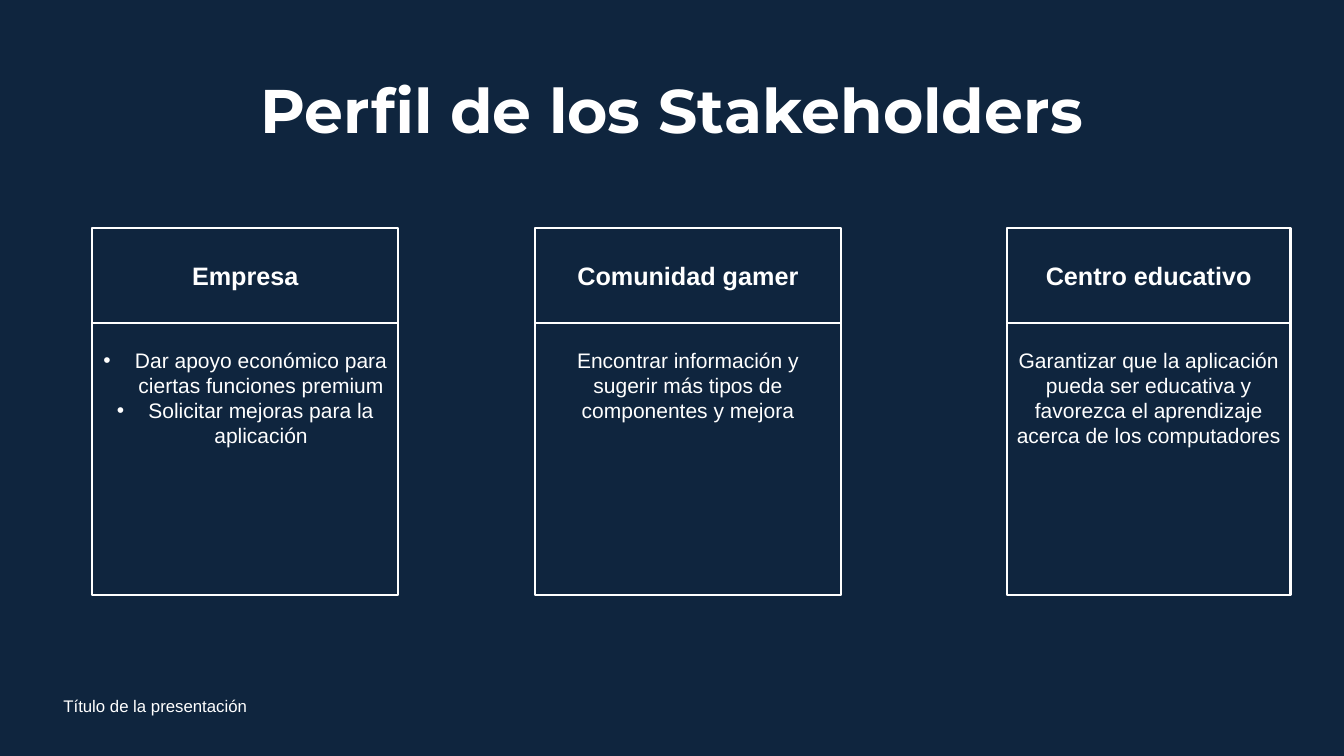
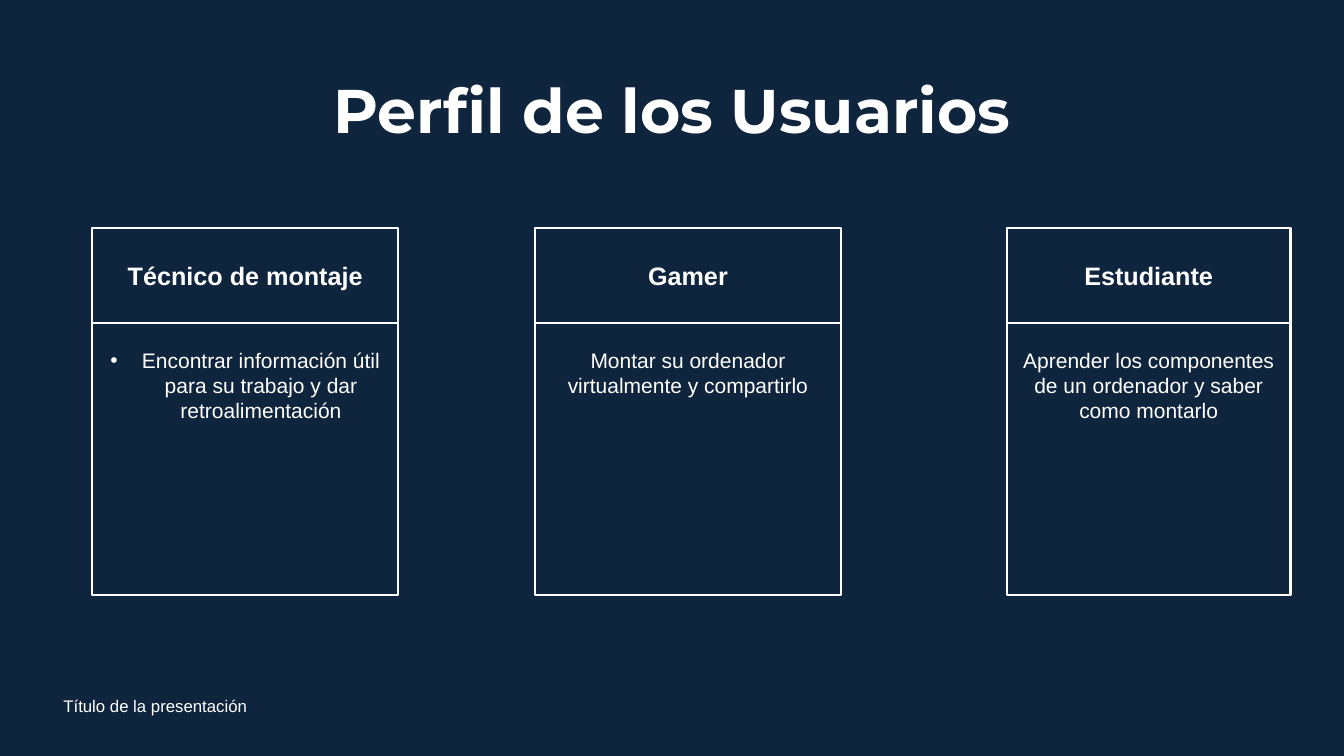
from dataclasses import dataclass
from typing import Any

import lxml.etree
import pptx
import pptx.dml.color
import pptx.enum.shapes
import pptx.enum.text
import pptx.oxml.ns
import pptx.shapes.autoshape
import pptx.slide
import pptx.util

Pt = pptx.util.Pt
Align = pptx.enum.text.PP_ALIGN
Anchor = pptx.enum.text.MSO_ANCHOR
qn = pptx.oxml.ns.qn


# Shared look
@dataclass(frozen=True)
class Theme:
    background: str = "0F253E"
    ink: str = "FFFFFF"
    title_font: str = "Montserrat"
    body_font: str = "Arial"
    title_size: float = 44
    heading_size: float = 18
    body_size: float = 15
    footer_size: float = 12
    outline: float = 1.5


THEME = Theme()


@dataclass(frozen=True)
class Area:
    left: float
    top: float
    width: float
    height: float


@dataclass(frozen=True)
class TextStyle:
    size: float
    font: str = THEME.body_font
    bold: bool = False
    align: Any = Align.CENTER
    anchor: Any = Anchor.MIDDLE
    inset_top: float = 3.6
    line_spacing: float | None = None


@dataclass(frozen=True)
class Profile:
    heading: str
    lines: tuple[str, ...]
    bulleted: bool = False


@dataclass(frozen=True)
class ProfilePage:
    title: str
    profiles: tuple[Profile, ...]


TITLE_STYLE = TextStyle(THEME.title_size, THEME.title_font, bold=True, line_spacing=0.9)
HEADING_STYLE = TextStyle(THEME.heading_size, bold=True)
BODY_STYLE = TextStyle(THEME.body_size, anchor=Anchor.TOP, inset_top=17.28)
FOOTER_STYLE = TextStyle(THEME.footer_size, align=Align.LEFT)

# Page geometry, in points
PAGE_WIDTH, PAGE_HEIGHT = 960, 540
TITLE_AREA = Area(66, 28.8, 828, 104.4)
FOOTER_AREA = Area(38.2, 489.6, 324, 28.8)
FOOTER_TEXT = "Título de la presentación"
COLUMNS = ((66, 218.4), (382.2, 218.4), (719.2, 202.6))  # left, width
HEADING_TOP, HEADING_HEIGHT = 162.8, 68
BODY_HEIGHT = 194
BULLET_INDENT = 22.5

PAGES = (
    ProfilePage("Perfil de los Stakeholders", (
        Profile("Empresa", ("Dar apoyo económico para ciertas funciones premium",
                            "Solicitar mejoras para la aplicación"), bulleted=True),
        Profile("Comunidad gamer",
                ("Encontrar información y sugerir más tipos de componentes y mejora",)),
        Profile("Centro educativo",
                ("Garantizar que la aplicación pueda ser educativa y favorezca "
                 "el aprendizaje acerca de los computadores",)),
    )),
    ProfilePage("Perfil de los Usuarios", (
        Profile("Técnico de montaje",
                ("Encontrar información útil para su trabajo y dar retroalimentación",),
                bulleted=True),
        Profile("Gamer", ("Montar su ordenador virtualmente y compartirlo",)),
        Profile("Estudiante",
                ("Aprender los componentes de un ordenador y saber como montarlo",)),
    )),
)


def color(value: str) -> pptx.dml.color.RGBColor:
    return pptx.dml.color.RGBColor.from_string(value)


def apply(target: Any, values: dict[str, Any]) -> None:
    for name, value in values.items():
        setattr(target, name, value)


def add_bullet(para: Any) -> None:
    properties = para._p.get_or_add_pPr()
    indent = int(Pt(BULLET_INDENT))
    properties.set("marL", str(indent))
    properties.set("indent", str(-indent))
    tint = lxml.etree.SubElement(properties, qn("a:buClr"))
    lxml.etree.SubElement(tint, qn("a:srgbClr"), val=THEME.ink)
    lxml.etree.SubElement(properties, qn("a:buFont"), typeface=THEME.body_font)
    lxml.etree.SubElement(properties, qn("a:buChar"), char="•")


def write(box: pptx.shapes.autoshape.Shape, lines: tuple[str, ...],
          style: TextStyle, bulleted: bool = False) -> None:
    frame = box.text_frame
    apply(frame, {
        "word_wrap": True, "vertical_anchor": style.anchor,
        "margin_left": Pt(7.2), "margin_right": Pt(7.2),
        "margin_top": Pt(style.inset_top), "margin_bottom": Pt(3.6),
    })
    for index, line in enumerate(lines):
        para = frame.add_paragraph() if index else frame.paragraphs[0]
        apply(para, {"alignment": style.align, "line_spacing": style.line_spacing})
        if bulleted:
            add_bullet(para)
        span = para.add_run()
        span.text = line
        apply(span.font, {"name": style.font, "size": Pt(style.size), "bold": style.bold})
        span.font.color.rgb = color(THEME.ink)


def place(area: Area) -> tuple[int, int, int, int]:
    return Pt(area.left), Pt(area.top), Pt(area.width), Pt(area.height)


def add_label(page: pptx.slide.Slide, area: Area, text: str, style: TextStyle) -> None:
    write(page.shapes.add_textbox(*place(area)), (text,), style)


def add_frame(page: pptx.slide.Slide, area: Area, lines: tuple[str, ...],
              style: TextStyle, bulleted: bool = False) -> None:
    box = page.shapes.add_shape(pptx.enum.shapes.MSO_SHAPE.RECTANGLE, *place(area))
    box.shadow.inherit = False
    box.fill.background()
    box.line.color.rgb = color(THEME.ink)
    box.line.width = Pt(THEME.outline)
    write(box, lines, style, bulleted)


def add_profile(page: pptx.slide.Slide, profile: Profile, left: float, width: float) -> None:
    body_top = HEADING_TOP + HEADING_HEIGHT
    add_frame(page, Area(left, body_top, width, BODY_HEIGHT),
              profile.lines, BODY_STYLE, profile.bulleted)
    add_frame(page, Area(left, HEADING_TOP, width, HEADING_HEIGHT),
              (profile.heading,), HEADING_STYLE)


def add_page(deck: Any, content: ProfilePage) -> None:
    page = deck.slides.add_slide(deck.slide_layouts[6])
    page.background.fill.solid()
    page.background.fill.fore_color.rgb = color(THEME.background)
    add_label(page, TITLE_AREA, content.title, TITLE_STYLE)
    for profile, (left, width) in zip(content.profiles, COLUMNS):
        add_profile(page, profile, left, width)
    add_label(page, FOOTER_AREA, FOOTER_TEXT, FOOTER_STYLE)


def main() -> None:
    deck = pptx.Presentation()
    apply(deck, {"slide_width": Pt(PAGE_WIDTH), "slide_height": Pt(PAGE_HEIGHT)})
    for content in PAGES:
        add_page(deck, content)
    deck.save("out.pptx")


if __name__ == "__main__":
    main()
